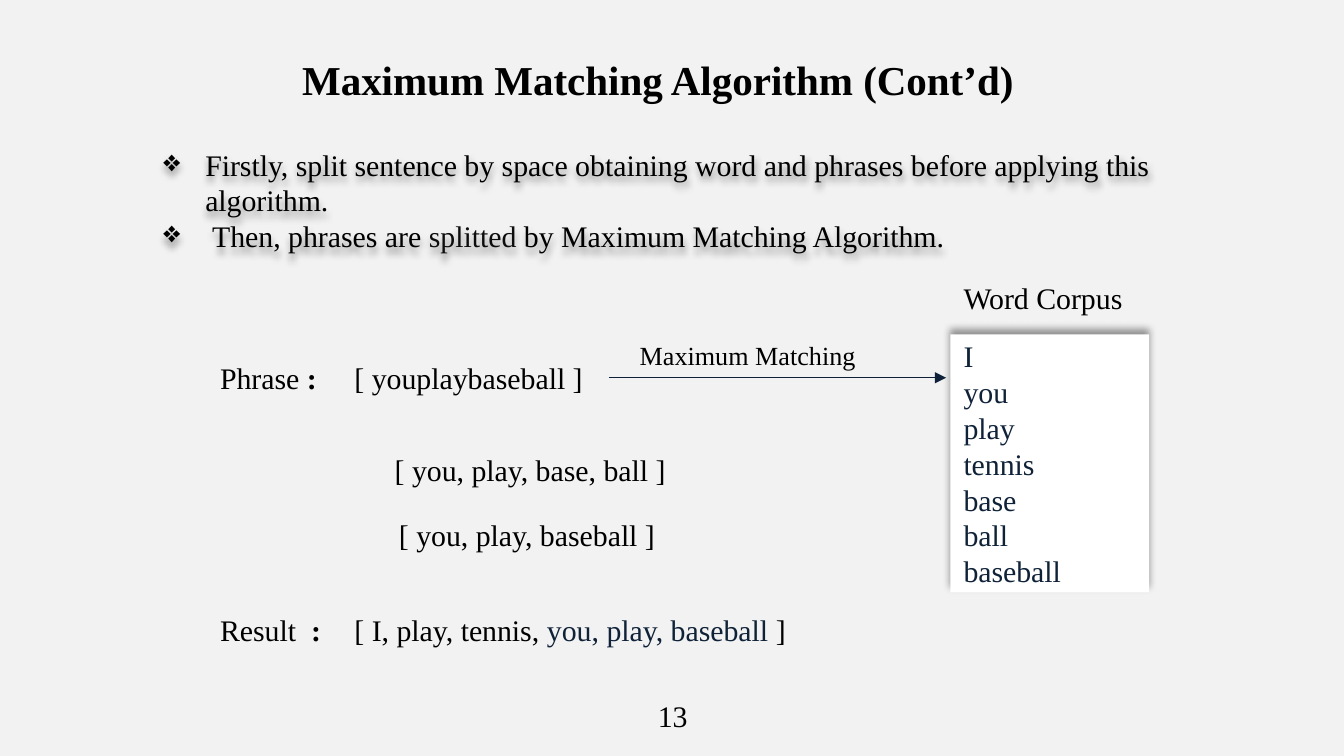
from lxml.etree import SubElement
from pptx import Presentation
from pptx.dml.color import RGBColor
from pptx.enum.shapes import MSO_CONNECTOR, MSO_SHAPE
from pptx.enum.text import MSO_ANCHOR, MSO_AUTO_SIZE, PP_ALIGN
from pptx.oxml.ns import qn
from pptx.util import Cm, Pt

THEME = dict(font="Times New Roman", back="F2F2F2", white="FFFFFF",
             black="000000", soft="0D0D0D", navy="0F2238", line="0E2138",
             title=22, body=16, small=14)

WORDS = ["I", "you", "play", "tennis", "base", "ball", "baseball"]
POINTS = [
    ["Firstly, split sentence by space obtaining word and phrases before applying this algorithm."],
    [" Then, phrases are ", ("splitted", "soft"), " by Maximum Matching Algorithm."],
]
LABELS = [
    ((5.46, 0.91, 14.45, 1.19), [("Maximum Matching Algorithm (Cont’d)", "black", True)], "title"),
    ((3.91, 6.68, 7.59, 0.94), ["Phrase ", (":", "black", True), "\t[ youplaybaseball ]"], "body"),
    ((17.96, 5.16, 4.65, 0.94), ["Word Corpus"], "body"),
    ((7.21, 8.41, 6.1, 0.94), ["[ you, play, base, ball ]"], "body"),
    ((7.29, 9.65, 6.1, 0.94), ["[ you, play, baseball ]"], "body"),
    ((6.45, 11.43, 14.99, 0.94),
     ["[ I, play, tennis, ", ("you, play, baseball", "navy"), " ]"], "body"),
    ((3.91, 11.43, 5.05, 0.94), ["Result  ", (":", "black", True)], "body"),
    ((11.84, 6.3, 4.65, 0.86), ["Maximum Matching"], "small"),
]
PAGE = (12.17, 13.06, 1.09, 0.94)
LIST = (2.84, 2.64, 19.79, 2.31)
CORPUS = (17.96, 6.32, 3.76, 4.88)
ARROW = (11.51, 7.14, 17.88, 7.14)


def tint(name):
    return RGBColor.from_string(THEME[name])


def write(para, runs, size="body"):
    for item in runs:
        text, color, bold = ((item,) if isinstance(item, str) else item) + ("black", False)[
            0 if isinstance(item, str) else len(item) - 1:]
        run = para.add_run()
        run.text = text
        run.font.name = THEME["font"]
        run.font.size = Pt(THEME[size])
        run.font.bold = bold
        run.font.color.rgb = tint(color)


def fill(frame, paras, size="body"):
    for num, runs in enumerate(paras):
        para = frame.add_paragraph() if num else frame.paragraphs[0]
        para.alignment = PP_ALIGN.LEFT
        write(para, runs, size)


def label(slide, place, paras, size="body", wrap=True):
    box = slide.shapes.add_textbox(*map(Cm, place))
    box.text_frame.word_wrap = wrap
    box.text_frame.auto_size = MSO_AUTO_SIZE.SHAPE_TO_FIT_TEXT
    fill(box.text_frame, paras, size)
    return box


def shade(shape, blur, dist, angle):
    shape.shadow.inherit = False
    effect = shape._element.spPr.find(qn("a:effectLst"))
    outer = SubElement(effect, qn("a:outerShdw"), blurRad=str(Pt(blur)),
                       dist=str(Pt(dist)), dir=str(angle * 60000),
                       algn="ctr", rotWithShape="0")
    color = SubElement(outer, qn("a:srgbClr"), val=THEME["black"])
    SubElement(color, qn("a:alpha"), val="40000")


def bullet(para):
    props = para._p.get_or_add_pPr()
    props.set("marL", str(Cm(0.79)))
    props.set("indent", str(Cm(-0.79)))
    color = SubElement(props, qn("a:buClr"))
    SubElement(color, qn("a:srgbClr"), val=THEME["black"])
    SubElement(props, qn("a:buChar"), char="❖")


def main():
    deck = Presentation()
    deck.slide_width, deck.slide_height = Cm(25.4), Cm(14.29)
    slide = deck.slides.add_slide(deck.slide_layouts[6])
    slide.background.fill.solid()
    slide.background.fill.fore_color.rgb = tint("back")

    points = label(slide, LIST, POINTS)
    for para in points.text_frame.paragraphs:
        bullet(para)
    shade(points, 4, 3, 90)

    corpus = slide.shapes.add_shape(MSO_SHAPE.RECTANGLE, *map(Cm, CORPUS))
    corpus.fill.solid()
    corpus.fill.fore_color.rgb = tint("white")
    corpus.line.fill.background()
    shade(corpus, 4, 3, 270)
    corpus.text_frame.word_wrap = True
    corpus.text_frame.vertical_anchor = MSO_ANCHOR.MIDDLE
    fill(corpus.text_frame, [[(word, "navy")] for word in WORDS])

    for place, runs, size in LABELS:
        label(slide, place, [runs], size)

    arrow = slide.shapes.add_connector(MSO_CONNECTOR.STRAIGHT, *map(Cm, ARROW))
    arrow.line.color.rgb = tint("line")
    arrow.line.width = Pt(0.75)
    SubElement(arrow.line._get_or_add_ln(), qn("a:tailEnd"), type="triangle")
    SubElement(arrow._element.spPr, qn("a:effectLst"))

    page = label(slide, PAGE, [["13"]], wrap=False)
    page.text_frame.paragraphs[0].alignment = PP_ALIGN.CENTER

    deck.save("out.pptx")


if __name__ == "__main__":
    main()
